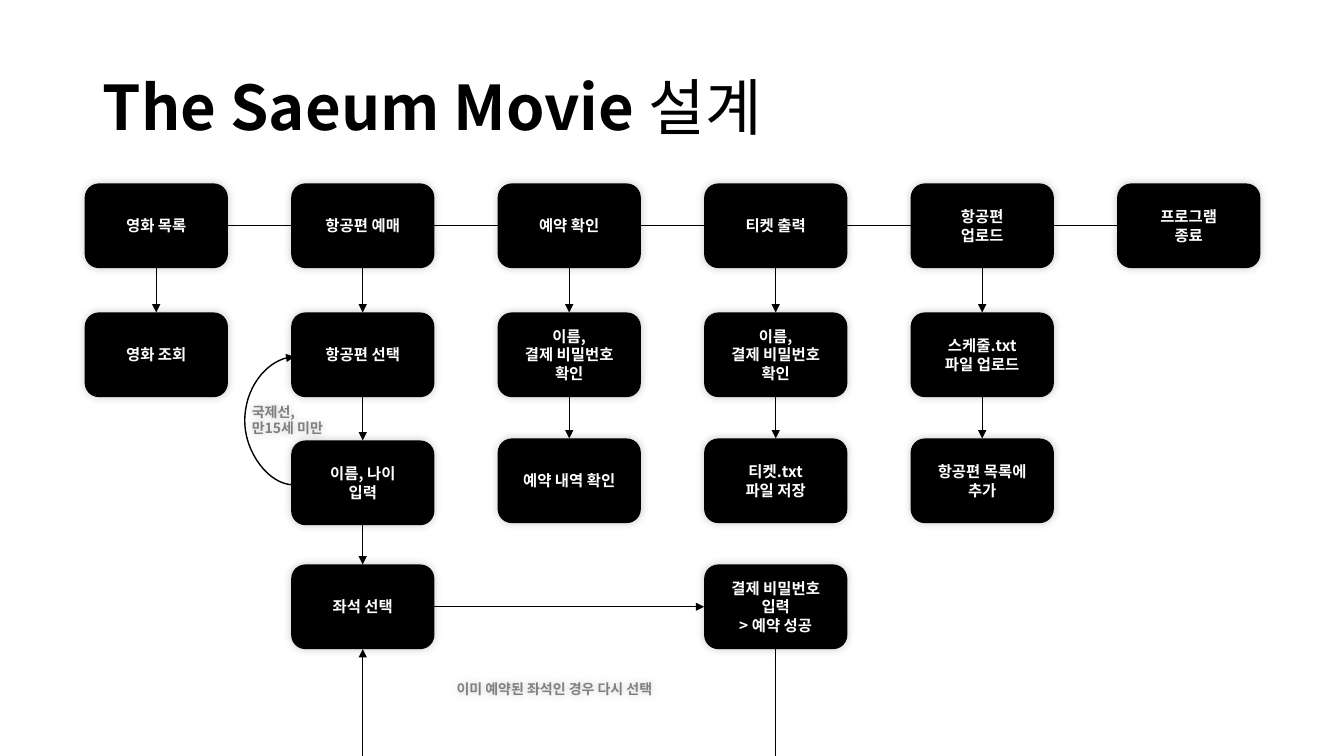
from lxml import etree
from pptx import Presentation
from pptx.dml.color import RGBColor
from pptx.enum.shapes import MSO_CONNECTOR, MSO_SHAPE
from pptx.enum.text import MSO_ANCHOR as Anchor, PP_ALIGN as Align
from pptx.oxml import parse_xml
from pptx.oxml.ns import nsdecls, qn
from pptx.util import Inches, Pt

COLORS = {"black": "000000", "white": "FFFFFF", "grey": "808080"}
FONT = "Noto Sans CJK KR"
SHADOW = (
    f'<a:outerShdw {nsdecls("a")} blurRad="76200" dist="0" dir="18900000" algn="ctr" rotWithShape="0">'
    '<a:srgbClr val="000000"><a:alpha val="20000"/></a:srgbClr></a:outerShdw>'
)

presentation = Presentation()
presentation.slide_width, presentation.slide_height = Inches(13.33), Inches(7.5)
slide = presentation.slides.add_slide(presentation.slide_layouts[6])


def style_text(shape, size, color, align=Align.LEFT):
    """Format every run of a shape and give the shape its soft shadow."""
    shape.text_frame.word_wrap = True
    for paragraph in shape.text_frame.paragraphs:
        paragraph.alignment = align
        for run in paragraph.runs:
            run.font.size, run.font.bold, run.font.name = Pt(size), True, FONT
            run.font.color.rgb = RGBColor.from_string(COLORS[color])
            east_asian = etree.SubElement(run.font._element, qn("a:ea"))
            east_asian.set("typeface", FONT)


def add_line(start, end, arrow=False, kind=MSO_CONNECTOR.STRAIGHT):
    """Draw a thin black connector, with an arrowhead at its end if asked."""
    connector = slide.shapes.add_connector(kind, *map(Inches, start + end))
    connector.line.color.rgb = RGBColor.from_string(COLORS["black"])
    connector.line.width = Pt(1)
    properties = connector._element.spPr
    if arrow:
        etree.SubElement(properties.find(qn("a:ln")), qn("a:tailEnd"), type="triangle")
    etree.SubElement(properties, qn("a:effectLst"))
    return connector


# Title
title = slide.shapes.add_textbox(Inches(0.92), Inches(0.37), Inches(11.5), Inches(1.45))
title.text_frame.vertical_anchor = Anchor.MIDDLE
heading = title.text_frame.paragraphs[0]
heading.line_spacing = 0.9
for words in ("The Saeum Movie", " 설계"):
    heading.add_run().text = words
style_text(title, 44, "black")
heading.runs[1].font.bold = False

# Flow chart columns, top to bottom: (top, text)
BOX_W, BOX_H = 1.42, 0.84
ROWS = (1.82, 3.1, 4.35, 5.6)
PITCH = (11.08 - 0.84) / 5
lefts = [0.84 + PITCH * index for index in range(6)]
centers = [left + BOX_W / 2 for left in lefts]
CHECK = "이름,\n결제 비밀번호\n확인"
AGE_TOP = 4.37
columns = [
    [(ROWS[0], "영화 목록"), (ROWS[1], "영화 조회")],
    [(ROWS[0], "항공편 예매"), (ROWS[1], "항공편 선택"),
     (AGE_TOP, "이름, 나이\n입력"), (ROWS[3], "좌석 선택")],
    [(ROWS[0], "예약 확인"), (ROWS[1], CHECK), (ROWS[2], "예약 내역 확인")],
    [(ROWS[0], "티켓 출력"), (ROWS[1], CHECK), (ROWS[2], "티켓.txt\n파일 저장"),
     (ROWS[3], "결제 비밀번호\n입력\n> 예약 성공")],
    [(ROWS[0], "항공편\n업로드"), (ROWS[1], "스케줄.txt\n파일 업로드"),
     (ROWS[2], "항공편 목록에\n추가")],
    [(ROWS[0], "프로그램\n종료")],
]
for left, column in zip(lefts, columns):
    for top, text in column:
        box = slide.shapes.add_shape(
            MSO_SHAPE.FLOWCHART_ALTERNATE_PROCESS,
            Inches(left), Inches(top), Inches(BOX_W), Inches(BOX_H))
        box.fill.solid()
        box.fill.fore_color.rgb = RGBColor.from_string(COLORS["black"])
        box.line.fill.background()
        box.shadow.inherit = False
        box._element.spPr.find(qn("a:effectLst")).append(parse_xml(SHADOW))
        box.text_frame.text = text
        box.text_frame.vertical_anchor = Anchor.MIDDLE
        style_text(box, 11, "white", Align.CENTER)

# Downward arrows; the payment box is reached from the side instead
for center, column in zip(centers, columns):
    for (upper, _), (lower, text) in zip(column, column[1:]):
        if not text.endswith("예약 성공"):
            add_line((center, upper + BOX_H), (center, lower), arrow=True)

# Links along the top row
for left, following in zip(lefts, lefts[1:]):
    middle = ROWS[0] + BOX_H / 2
    add_line((left + BOX_W, middle), (following, middle))

# Seat choice to payment, and the way back below the boxes
seat_middle, seat_bottom = ROWS[3] + BOX_H / 2, ROWS[3] + BOX_H
add_line((lefts[1] + BOX_W, seat_middle), (lefts[3], seat_middle), arrow=True)
add_line((centers[3], seat_bottom), (centers[3], 7.5))
add_line((centers[1], 7.5), (centers[1], seat_bottom), arrow=True)

# Curved return arrow from age entry to flight choice
loop = add_line((2.91, 4.81), (2.92, 3.54), arrow=True, kind=MSO_CONNECTOR.CURVE)
guides = loop._element.spPr.find(qn("a:prstGeom")).find(qn("a:avLst"))
etree.SubElement(guides, qn("a:gd"), name="adj1", fmla="val -4900000")

# Grey notes
notes = [
    (2.4, 3.95, 1.03, 0.42, "국제선,\n만15세 미만"),
    (4.43, 6.7, 2.43, 0.26, "이미 예약된 좌석인 경우 다시 선택"),
]
for left, top, width, height, text in notes:
    note = slide.shapes.add_textbox(Inches(left), Inches(top), Inches(width), Inches(height))
    note.text_frame.text = text
    style_text(note, 10, "grey")
    note.shadow.inherit = False
    note._element.spPr.find(qn("a:effectLst")).append(parse_xml(SHADOW))

presentation.save("out.pptx")
